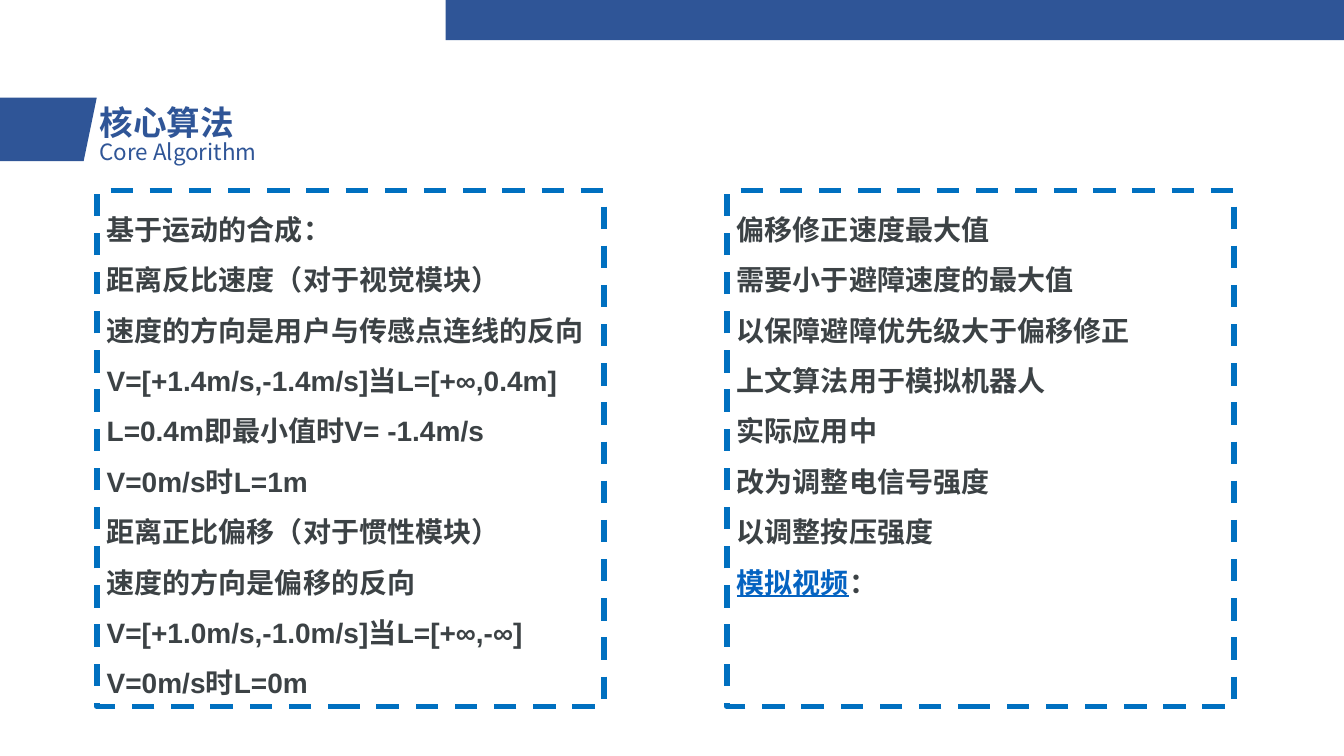
import pptx
import pptx.util
import pptx.dml.color
import pptx.enum.dml
import pptx.enum.shapes
import pptx.enum.text
import pptx.oxml.ns
import lxml.etree
from dataclasses import dataclass

Inches = pptx.util.Inches
Pt = pptx.util.Pt
Anchor = pptx.enum.text.MSO_ANCHOR
Rect = pptx.enum.shapes.MSO_SHAPE.RECTANGLE


@dataclass(frozen=True)
class Theme:
    navy: str = "2F5597"
    edge: str = "0070C0"
    ink: str = "3C4245"
    link: str = "0563C1"
    face: str = "Arial"
    sans: str = "Noto Sans CJK SC"
    title: int = 24
    sub: int = 16
    body: int = 20
    rule: int = 4


THEME = Theme()

MOTION = [
    "基于运动的合成：",
    "距离反比速度（对于视觉模块）",
    "速度的方向是用户与传感点连线的反向",
    "V=[+1.4m/s,-1.4m/s]当L=[+∞,0.4m]",
    "L=0.4m即最小值时V= -1.4m/s",
    "V=0m/s时L=1m",
    "距离正比偏移（对于惯性模块）",
    "速度的方向是偏移的反向",
    "V=[+1.0m/s,-1.0m/s]当L=[+∞,-∞]",
    "V=0m/s时L=0m",
]
LIMITS = [
    "偏移修正速度最大值",
    "需要小于避障速度的最大值",
    "以保障避障优先级大于偏移修正",
    "上文算法用于模拟机器人",
    "实际应用中",
    "改为调整电信号强度",
    "以调整按压强度",
]
VIDEO = "模拟视频"


def color(code):
    return pptx.dml.color.RGBColor.from_string(code)


def paint(shape, code):
    shape.shadow.inherit = False
    shape.fill.solid()
    shape.fill.fore_color.rgb = color(code)
    shape.line.fill.background()


def add_run(para, text, size, code, face=THEME.face, bold=False):
    run = para.add_run()
    run.text = text
    font = run.font
    font.size, font.bold, font.name = Pt(size), bold, face
    font.color.rgb = color(code)
    # East Asian letters use the same face
    east = lxml.etree.SubElement(run._r.get_or_add_rPr(), pptx.oxml.ns.qn("a:ea"))
    east.set("typeface", face)
    return run


def add_band(slide, x, y, w, h):
    band = slide.shapes.add_shape(Rect, Inches(x), Inches(y), Inches(w), Inches(h))
    paint(band, THEME.navy)


def add_label(slide, x, y, w, h, text, size, face, bold, anchor):
    box = slide.shapes.add_textbox(Inches(x), Inches(y), Inches(w), Inches(h))
    frame = box.text_frame
    frame.word_wrap = True
    frame.vertical_anchor = anchor
    para = frame.paragraphs[0]
    add_run(para, text, size, THEME.navy, face, bold)
    return para


def add_header(slide, x, y, w, h):
    # Slanted tab
    slant = 0.13
    pen = slide.shapes.build_freeform(Inches(x), Inches(y))
    pen.add_line_segments([
        (Inches(x + w), Inches(y)),
        (Inches(x + w - slant), Inches(y + h)),
        (Inches(x), Inches(y + h)),
    ])
    paint(pen.convert_to_shape(), THEME.navy)

    # Title and subtitle
    left = x + w - 0.07
    title = add_label(slide, left, y - 0.03, 2.31, 0.6, "核心算法",
                      THEME.title, THEME.face, True, Anchor.MIDDLE)
    title.line_spacing = 0.9
    add_label(slide, left, y + 0.35, 3.22, 0.37, "Core Algorithm",
              THEME.sub, THEME.sans, False, Anchor.TOP)


def add_panel(slide, x, y, w, h, lines):
    panel = slide.shapes.add_shape(Rect, Inches(x), Inches(y), Inches(w), Inches(h))
    panel.shadow.inherit = False
    panel.fill.background()
    panel.line.color.rgb = color(THEME.edge)
    panel.line.width = Pt(THEME.rule)
    panel.line.dash_style = pptx.enum.dml.MSO_LINE.DASH

    frame = panel.text_frame
    frame.word_wrap = True
    frame.vertical_anchor = Anchor.TOP
    for i, parts in enumerate(lines):
        para = frame.paragraphs[0] if i == 0 else frame.add_paragraph()
        para.alignment = pptx.enum.text.PP_ALIGN.LEFT
        para.line_spacing = 1.5
        for text in parts:
            linked = text == VIDEO
            code = THEME.link if linked else THEME.ink
            run = add_run(para, text, THEME.body, code, bold=True)
            run.font.underline = linked


def main():
    deck = pptx.Presentation()
    deck.slide_width, deck.slide_height = Inches(13.33), Inches(7.5)
    slide = deck.slides.add_slide(deck.slide_layouts[6])

    add_band(slide, 4.42, 0, 8.91, 0.4)
    add_header(slide, 0, 0.97, 0.96, 0.63)

    # Two equal panels
    texts = [[[line] for line in MOTION],
             [[line] for line in LIMITS] + [[VIDEO, "："]]]
    for i, lines in enumerate(texts):
        add_panel(slide, 0.96 + i * 6.25, 1.89, 5.03, 5.12, lines)

    deck.save("out.pptx")


if __name__ == "__main__":
    main()
